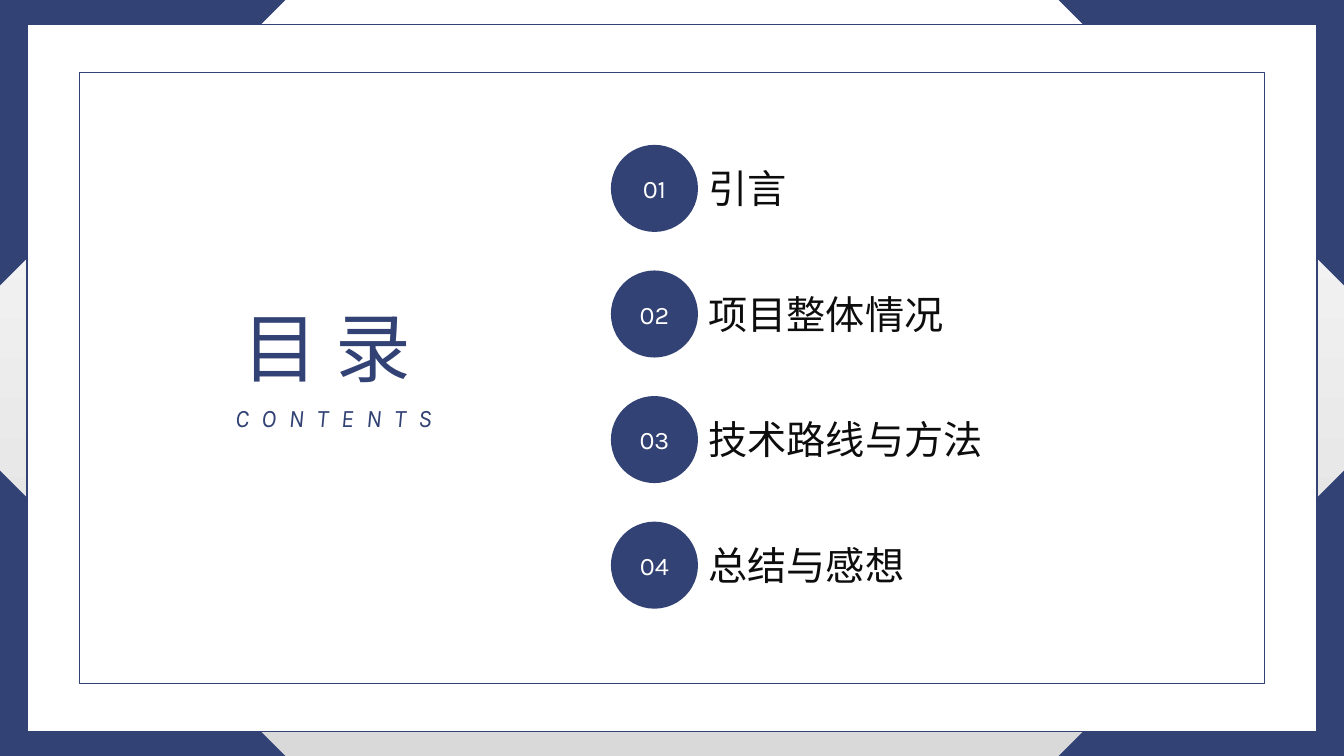
import pptx
import pptx.util
from pptx.dml.color import RGBColor
from pptx.enum.shapes import MSO_SHAPE
from pptx.enum.text import MSO_ANCHOR, MSO_AUTO_SIZE, PP_ALIGN

Pt = pptx.util.Pt
COLOURS = {"navy": "324274", "white": "FFFFFF", "grey": "D9D9D9", "ink": "0D0D0D"}
WIDTH, HEIGHT = 960, 540


def add_panel(kind, left, top, width, height, fill=None, line=None):
    shape = slide.shapes.add_shape(kind, Pt(left), Pt(top), Pt(width), Pt(height))
    shape.shadow.inherit = False
    if fill:
        shape.fill.solid()
        shape.fill.fore_color.rgb = RGBColor.from_string(COLOURS[fill])
    else:
        shape.fill.background()
    if line:
        shape.line.color.rgb = RGBColor.from_string(COLOURS[line])
        shape.line.width = Pt(1)
    else:
        shape.line.fill.background()
    return shape


def write_text(shape, text, size, colour, alignment, anchor=MSO_ANCHOR.TOP):
    frame = shape.text_frame
    frame.text = text
    frame.word_wrap = True
    frame.vertical_anchor = anchor
    paragraph = frame.paragraphs[0]
    paragraph.alignment = alignment
    run = paragraph.runs[0]
    run.font.name = "Karla"
    run.font.size = Pt(size)
    run.font.color.rgb = RGBColor.from_string(COLOURS[colour])
    return run


presentation = pptx.Presentation()
presentation.slide_width = Pt(WIDTH)
presentation.slide_height = Pt(HEIGHT)
slide = presentation.slides.add_slide(presentation.slide_layouts[5])

background = slide.background.fill
background.gradient()
background.gradient_angle = 270
for stop, colour, position in zip(background.gradient_stops, ("white", "grey"), (0, 1)):
    stop.color.rgb = RGBColor.from_string(COLOURS[colour])
    stop.position = position

corner_size = 203.8
right, bottom = WIDTH - corner_size, HEIGHT - corner_size
corners = [(0, bottom), (0, 0), (right, 0), (right, bottom)]
for index, (left, top) in enumerate(corners):
    corner = add_panel(MSO_SHAPE.RIGHT_TRIANGLE, left, top, corner_size, corner_size, "navy")
    corner.rotation = 90 * index

add_panel(MSO_SHAPE.RECTANGLE, 19.3, 17.5, 921.4, 505, "white", "navy")
add_panel(MSO_SHAPE.RECTANGLE, 56.6, 51.8, 846.8, 436.4, None, "navy")

title = slide.shapes.title
title.left, title.top, title.width, title.height = Pt(149), Pt(211), Pt(169.2), Pt(72.7)
write_text(title, "目 录", 54, "navy", PP_ALIGN.CENTER)
title.text_frame.auto_size = MSO_AUTO_SIZE.SHAPE_TO_FIT_TEXT
title.element.getparent().append(title.element)

letter_gap = 9
subtitle = slide.shapes.add_textbox(Pt(128.2), Pt(283.7), Pt(211), Pt(29))
subtitle_run = write_text(subtitle, "CONTENTS", 18, "navy", PP_ALIGN.CENTER)
subtitle_run.font.italic = True
subtitle_run.font._element.set("spc", str(letter_gap * 100))
subtitle.text_frame.margin_left = Pt(7.2 + letter_gap)
subtitle.text_frame.auto_size = MSO_AUTO_SIZE.SHAPE_TO_FIT_TEXT

chapters = ["引言", "项目整体情况", "技术路线与方法", "总结与感想"]
for index, chapter in enumerate(chapters):
    top = 103.5 + 89.7 * index
    badge = add_panel(MSO_SHAPE.OVAL, 436.4, top, 62.2, 62.2, "navy")
    write_text(badge, f"{index + 1:02}", 18, "white", PP_ALIGN.CENTER, MSO_ANCHOR.MIDDLE)
    label = slide.shapes.add_textbox(Pt(499), Pt(top + 10.4), Pt(229.7), Pt(41.2))
    write_text(label, chapter, 28, "ink", PP_ALIGN.LEFT)
    label.text_frame.auto_size = MSO_AUTO_SIZE.SHAPE_TO_FIT_TEXT

presentation.save("out.pptx")
